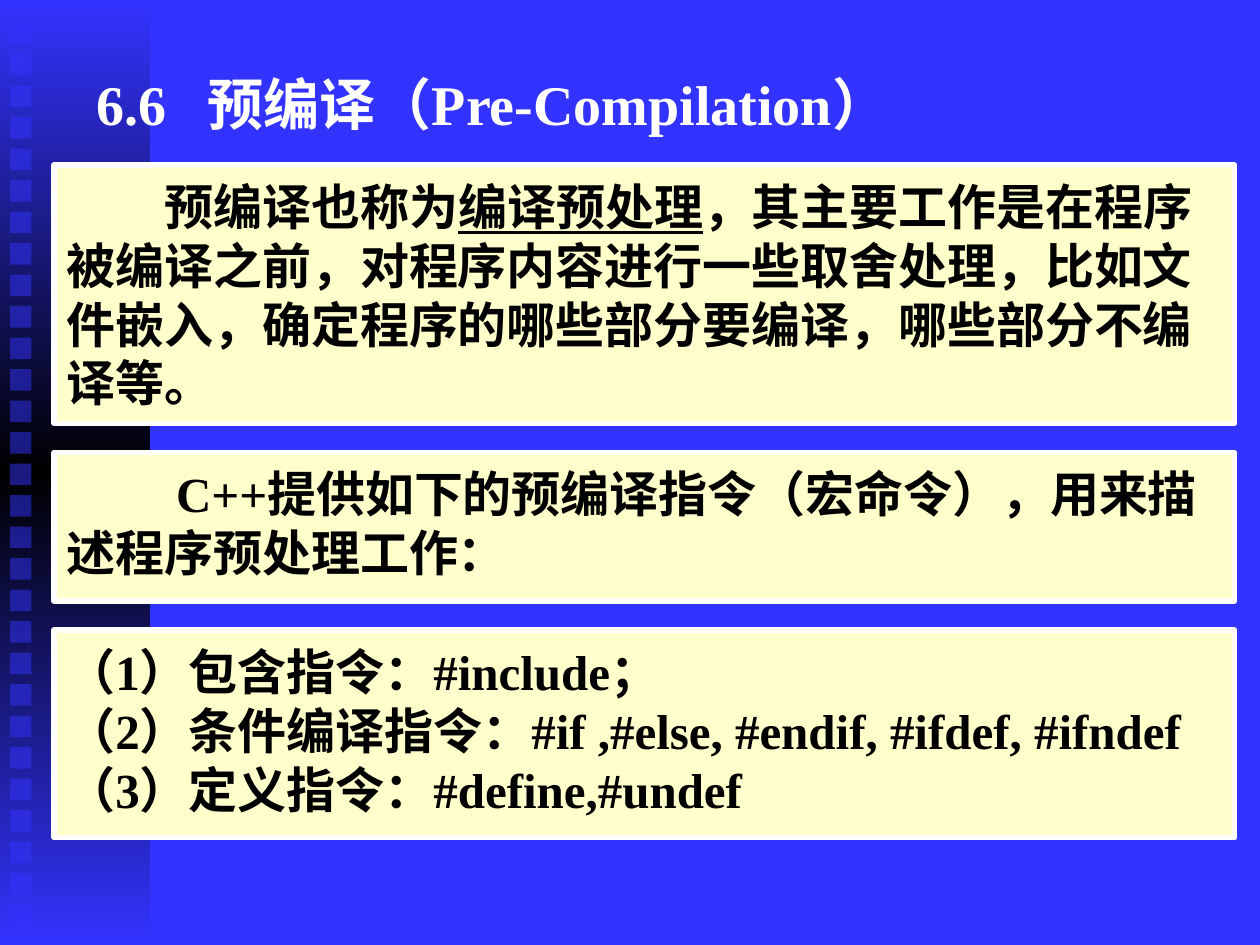
import copy

import pptx
import pptx.dml.color
import pptx.enum.lang
import pptx.enum.shapes
import pptx.enum.text
import pptx.oxml
import pptx.oxml.ns
import pptx.util
from pptx.util import Inches

COLORS = {"blue": "3333FF", "black": "000000", "white": "FFFFFF", "cream": "FFFFCC"}
FONT = "Times New Roman"
SQUARE_COUNT = 29


def rgb(name):
    return pptx.dml.color.RGBColor.from_string(COLORS[name])


def add_child(parent, tag, **attributes):
    child = pptx.oxml.parse_xml(f"<a:{tag} {pptx.oxml.ns.nsdecls('a')}/>")
    for key, value in attributes.items():
        child.set(key, str(value))
    parent.append(child)
    return child


def add_rectangle(slide, box):
    rectangle = slide.shapes.add_shape(pptx.enum.shapes.MSO_SHAPE.RECTANGLE, *box)
    rectangle.shadow.inherit = False
    rectangle.line.fill.background()
    return rectangle


def write_paragraph(paragraph, text, size=28, color="black", underlined="", indent=0, tab=0):
    paragraph.alignment = pptx.enum.text.PP_ALIGN.LEFT
    properties = paragraph._p.get_or_add_pPr()
    if indent:
        properties.set("indent", str(Inches(indent)))
    if tab:
        add_child(add_child(properties, "tabLst"), "tab", pos=Inches(tab), algn="l")
    before, marked, after = text.partition(underlined) if underlined else (text, "", "")
    for part in filter(None, (before, marked, after)):
        run = paragraph.add_run()
        run.text = part
        run.font.name = FONT
        run.font.size = pptx.util.Pt(size)
        run.font.bold = True
        run.font.underline = part == underlined
        run.font.color.rgb = rgb(color)
        run.font.language_id = pptx.enum.lang.MSO_LANGUAGE_ID.SIMPLIFIED_CHINESE


def add_side_band(slide, box):
    left, top, width, height = box
    band = add_rectangle(slide, box)
    band.fill.gradient()
    band.fill.gradient_angle = 90
    first, last = band.fill.gradient_stops
    for stop, position in ((first, 0), (last, 1)):
        stop.color.rgb = rgb("blue")
        stop.position = position
    stop_list = band._element.spPr.find(".//" + pptx.oxml.ns.qn("a:gsLst"))
    stop_list.insert(1, copy.deepcopy(stop_list[0]))
    middle = band.fill.gradient_stops[1]
    middle.color.rgb = rgb("black")
    middle.position = 0.5

    side = Inches(0.17)
    for index in range(SQUARE_COUNT):
        square_top = top + Inches(0.18 + 0.25 * index)
        square = add_rectangle(slide, (left + Inches(0.08), square_top, side, side))
        square.fill.solid()
        square.fill.fore_color.rgb = rgb("blue")
        color = square._element.spPr.find(".//" + pptx.oxml.ns.qn("a:srgbClr"))
        add_child(color, "alpha", val=50000)


def add_title(slide, box):
    frame = slide.shapes.add_textbox(*box).text_frame
    frame.word_wrap = True
    frame.vertical_anchor = pptx.enum.text.MSO_ANCHOR.MIDDLE
    write_paragraph(frame.paragraphs[0], "6.6\t预编译（Pre-Compilation）",
                    size=32, color="white", tab=0.88)


def add_panel(slide, box, lines, **text_format):
    panel = add_rectangle(slide, box)
    panel.fill.solid()
    panel.fill.fore_color.rgb = rgb("cream")
    panel.line.color.rgb = rgb("white")
    panel.line.width = pptx.util.Pt(3)
    frame = panel.text_frame
    frame.word_wrap = True
    frame.vertical_anchor = pptx.enum.text.MSO_ANCHOR.TOP
    frame.margin_top = Inches(0.09)
    for index, line in enumerate(lines):
        paragraph = frame.add_paragraph() if index else frame.paragraphs[0]
        write_paragraph(paragraph, line, **text_format)


def add_panels(slide, left, top, width, gap):
    definition = ("预编译也称为编译预处理，其主要工作是在程序被编译之前，对程序内容进行一些取舍处理，"
                  "比如文件嵌入，确定程序的哪些部分要编译，哪些部分不编译等。")
    introduction = "C++提供如下的预编译指令（宏命令），用来描述程序预处理工作："
    directives = [
        "（1）包含指令：#include；",
        "（2）条件编译指令：#if ,#else, #endif, #ifdef, #ifndef",
        "（3）定义指令：#define,#undef",
    ]
    panels = [
        (2.05, [definition], {"underlined": "编译预处理", "indent": 0.78}),
        (1.18, [introduction], {"indent": 0.87}),
        (1.65, directives, {}),
    ]
    for height, lines, text_format in panels:
        add_panel(slide, (left, top, width, Inches(height)), lines, **text_format)
        top += Inches(height) + gap


def main():
    presentation = pptx.Presentation()
    presentation.slide_width = Inches(10)
    presentation.slide_height = Inches(7.5)
    slide = presentation.slides.add_slide(presentation.slide_layouts[6])
    slide.background.fill.solid()
    slide.background.fill.fore_color.rgb = rgb("blue")
    add_side_band(slide, (0, 0, Inches(1.19), presentation.slide_height))
    add_title(slide, (Inches(0.67), Inches(0.41), Inches(8.44), Inches(0.82)))
    add_panels(slide, Inches(0.43), Inches(1.31), Inches(9.37), Inches(0.23))
    presentation.save("out.pptx")


if __name__ == "__main__":
    main()
